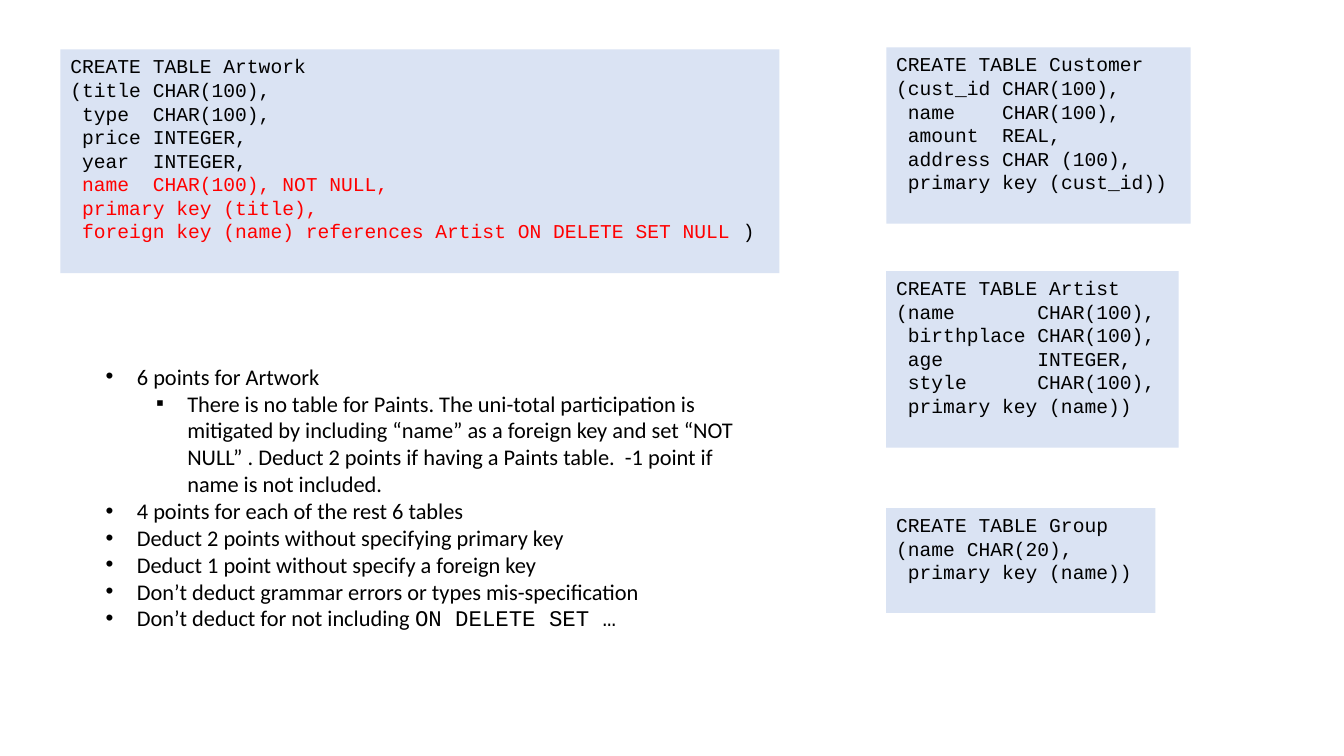
from dataclasses import dataclass

from lxml import etree
from pptx import Presentation
from pptx.dml.color import RGBColor
from pptx.enum.shapes import MSO_SHAPE
from pptx.enum.text import MSO_ANCHOR, PP_ALIGN
from pptx.oxml.ns import qn
from pptx.util import Inches, Pt

RECTANGLE = MSO_SHAPE.RECTANGLE
TOP = MSO_ANCHOR.TOP
LEFT = PP_ALIGN.LEFT

BLACK = RGBColor(0x00, 0x00, 0x00)
RED = RGBColor(0xFF, 0x00, 0x00)
PALE_BLUE = RGBColor(0xDA, 0xE3, 0xF3)

CODE_FONT = "Courier New"
BODY_FONT = "Calibri"
CODE_SIZE = 14
BODY_SIZE = 16
BLANK_LAYOUT = 6
SCHEMA_LEFT = 8.79
BULLETS = ("•", "▪")
BULLET_HANG = 0.31
LEVEL_STEP = 0.5


@dataclass(frozen=True)
class Span:
    text: str
    color: RGBColor = BLACK
    font: str = CODE_FONT
    size: int = CODE_SIZE


@dataclass(frozen=True)
class Statement:
    left: float
    top: float
    width: float
    height: float
    lines: list[list[Span]]


@dataclass(frozen=True)
class GradingRule:
    spans: list[Span]
    level: int = 0


def code(*lines: str) -> list[list[Span]]:
    return [[Span(line)] for line in lines]


def prose(text: str) -> Span:
    return Span(text, font=BODY_FONT, size=BODY_SIZE)


def add_spans(paragraph, spans: list[Span]) -> None:
    paragraph.alignment = LEFT
    for span in spans:
        run = paragraph.add_run()
        run.text = span.text
        run.font.name = span.font
        run.font.size = Pt(span.size)
        run.font.color.rgb = span.color


def next_paragraph(frame, index: int):
    return frame.add_paragraph() if index else frame.paragraphs[0]


def draw_statement(slide, statement: Statement) -> None:
    panel = slide.shapes.add_shape(
        RECTANGLE, Inches(statement.left), Inches(statement.top),
        Inches(statement.width), Inches(statement.height))
    panel.shadow.inherit = False
    panel.fill.solid()
    panel.fill.fore_color.rgb = PALE_BLUE
    panel.line.fill.background()
    frame = panel.text_frame
    frame.word_wrap = True
    frame.vertical_anchor = TOP
    for index, spans in enumerate(statement.lines):
        add_spans(next_paragraph(frame, index), spans)


def set_bullet(paragraph, level: int) -> None:
    paragraph.level = level
    properties = paragraph._p.get_or_add_pPr()
    properties.set("marL", str(Inches(BULLET_HANG + level * LEVEL_STEP)))
    properties.set("indent", str(-Inches(BULLET_HANG)))
    etree.SubElement(properties, qn("a:buFont")).set("typeface", "Arial")
    etree.SubElement(properties, qn("a:buChar")).set("char", BULLETS[level])


def draw_grading(slide, rules: list[GradingRule]) -> None:
    grading = slide.shapes.add_textbox(
        Inches(0.95), Inches(3.55), Inches(6.43), Inches(2.79))
    frame = grading.text_frame
    frame.word_wrap = True
    for index, rule in enumerate(rules):
        paragraph = next_paragraph(frame, index)
        add_spans(paragraph, rule.spans)
        set_bullet(paragraph, rule.level)


ARTWORK = Statement(0.6, 0.49, 7.13, 2.22, [
    *code("CREATE TABLE Artwork",
          "(title CHAR(100),",
          " type  CHAR(100),",
          " price INTEGER,",
          " year  INTEGER,"),
    [Span(" name  CHAR(100), NOT NULL,", RED)],
    [Span(" primary key (title),", RED)],
    [Span(" foreign key (name) references Artist ON DELETE SET NULL", RED),
     Span(" )")],
])
CUSTOMER = Statement(SCHEMA_LEFT, 0.47, 3.02, 1.75, code(
    "CREATE TABLE Customer",
    "(cust_id CHAR(100),",
    " name    CHAR(100),",
    " amount  REAL,",
    " address CHAR (100),",
    " primary key (cust_id))"))
ARTIST = Statement(SCHEMA_LEFT, 2.69, 2.9, 1.75, code(
    "CREATE TABLE Artist",
    "(name       CHAR(100),",
    " birthplace CHAR(100),",
    " age        INTEGER,",
    " style      CHAR(100),",
    " primary key (name))"))
GROUP = Statement(SCHEMA_LEFT, 5.04, 2.67, 1.04, code(
    "CREATE TABLE Group",
    "(name CHAR(20),",
    " primary key (name))"))

GRADING = [
    GradingRule([prose("6 points for Artwork")]),
    GradingRule([prose(
        "There is no table for Paints. The uni-total participation is "
        "mitigated by including “name” as a foreign key and set “NOT NULL” . "
        "Deduct 2 points if having a Paints table.  -1 point if name is not "
        "included.")], level=1),
    GradingRule([prose("4 points for each of the rest 6 tables")]),
    GradingRule([prose("Deduct 2 points without specifying primary key")]),
    GradingRule([prose("Deduct 1 point without specify a foreign key")]),
    GradingRule([prose("Don’t deduct grammar errors or types mis-specification")]),
    GradingRule([prose("Don’t deduct for not including "),
                 Span("ON DELETE SET …", size=BODY_SIZE)]),
]

presentation = Presentation()
presentation.slide_width = Inches(13.33)
presentation.slide_height = Inches(7.5)
slide = presentation.slides.add_slide(presentation.slide_layouts[BLANK_LAYOUT])

draw_grading(slide, GRADING)
for statement in (ARTWORK, GROUP, CUSTOMER, ARTIST):
    draw_statement(slide, statement)

presentation.save("out.pptx")
